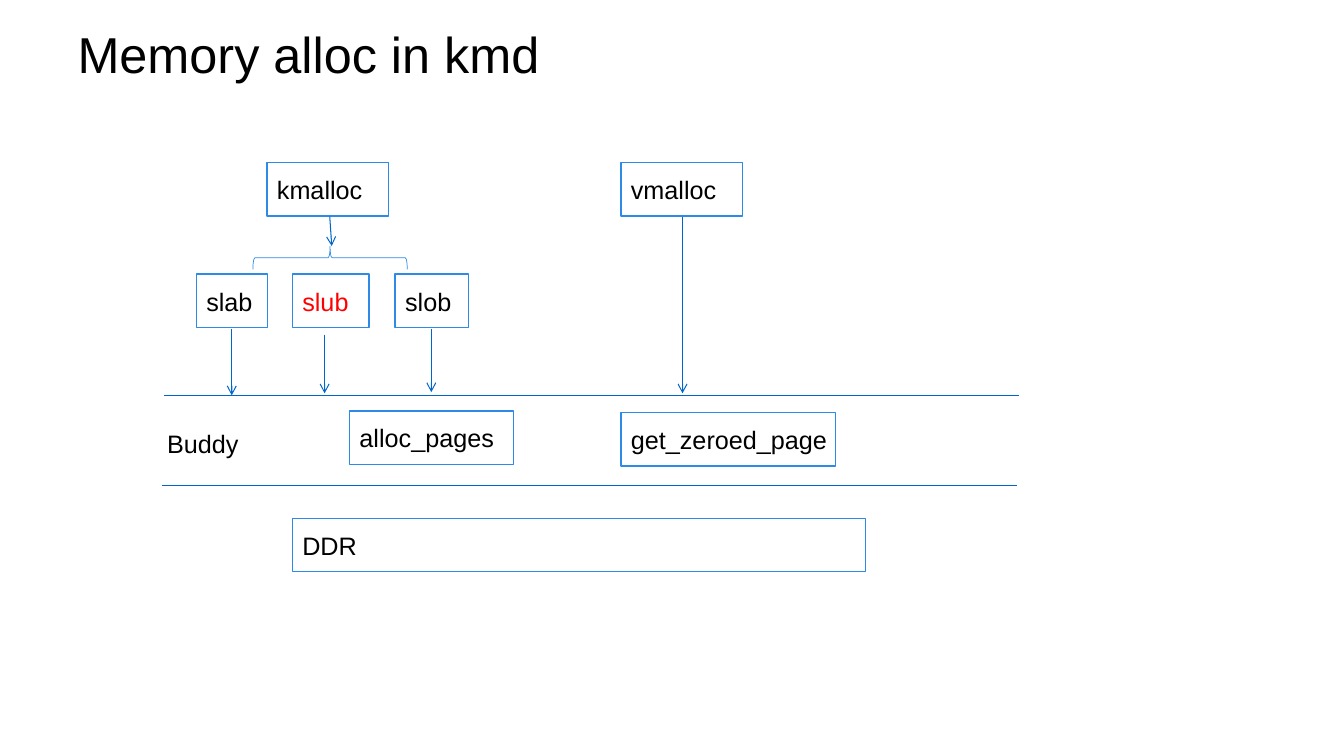
from lxml import etree
from pptx import Presentation
from pptx.dml.color import RGBColor
from pptx.enum.shapes import MSO_CONNECTOR, MSO_SHAPE
from pptx.enum.text import MSO_ANCHOR, PP_ALIGN
from pptx.oxml.ns import qn
from pptx.util import Cm, Pt

RECT, BRACE = MSO_SHAPE.RECTANGLE, MSO_SHAPE.RIGHT_BRACE
STRAIGHT = MSO_CONNECTOR.STRAIGHT
MIDDLE, LEFT = MSO_ANCHOR.MIDDLE, PP_ALIGN.LEFT
BLACK = RGBColor(0, 0, 0)
WHITE = RGBColor(0xFF, 0xFF, 0xFF)
RED = RGBColor(0xFF, 0, 0)
BORDER = RGBColor(0x2D, 0x8A, 0xE7)
LINE = RGBColor(0, 0x66, 0xCC)

# Lengths in cm
TITLE = "Memory alloc in kmd"
BOX_H = 1.35
API_TOP, SLAB_TOP = 4.09, 6.91
BUDDY_TOP, BUDDY_BOTTOM, BUDDY_W = 9.96, 12.24, 21.54
BOXES = [  # text, left, top, width, text colour
    ("kmalloc", 6.73, API_TOP, 3.07, BLACK),
    ("vmalloc", 15.65, API_TOP, 3.07, BLACK),
    ("slab", 4.95, SLAB_TOP, 1.8, BLACK),
    ("slub", 7.37, SLAB_TOP, 1.93, RED),
    ("slob", 9.96, SLAB_TOP, 1.85, BLACK),
    ("alloc_pages", 8.81, 10.36, 4.14, BLACK),
    ("get_zeroed_page", 15.65, 10.39, 5.41, BLACK),
    ("DDR", 7.37, 13.06, 14.45, BLACK),
]
BUDDY_LINES = [(4.14, BUDDY_TOP), (4.09, BUDDY_BOTTOM)]  # left, y
ARROWS = [  # x1, y1, x2, y2
    (8.31, 5.46, 8.36, 6.2),
    (17.2, 5.46, 17.2, 9.91),
    (5.84, 8.28, 5.84, BUDDY_TOP),
    (8.18, 8.43, 8.18, 9.91),
    (10.87, 8.28, 10.87, 9.88),
]


def add_text(tf, text, size, color):
    p = tf.paragraphs[0]
    p.alignment = LEFT
    r = p.add_run()
    r.text = text
    r.font.name = "Arial"
    r.font.size = Pt(size)
    r.font.color.rgb = color


def add_box(s, text, left, top, width, color):
    sp = s.shapes.add_shape(RECT, Cm(left), Cm(top), Cm(width), Cm(BOX_H))
    sp.shadow.inherit = False
    sp.fill.solid()
    sp.fill.fore_color.rgb = WHITE
    sp.line.color.rgb = BORDER
    sp.line.width = Pt(1)
    tf = sp.text_frame
    tf.word_wrap = False
    tf.vertical_anchor = MIDDLE
    add_text(tf, text, 18, color)


def add_line(s, x1, y1, x2, y2, arrow=False):
    line = s.shapes.add_connector(STRAIGHT, Cm(x1), Cm(y1), Cm(x2), Cm(y2))
    line.line.color.rgb = LINE
    line.line.width = Pt(0.75)
    if arrow:
        ln = line.line._get_or_add_ln()
        etree.SubElement(ln, qn("a:tailEnd"), type="arrow")
    etree.SubElement(line._element.spPr, qn("a:effectLst"))


def add_brace(s):
    brace = s.shapes.add_shape(BRACE, Cm(8.03), Cm(4.55), Cm(0.58), Cm(3.89))
    brace.rotation = 270
    brace.shadow.inherit = False
    brace.fill.background()
    brace.line.color.rgb = BORDER
    brace.line.width = Pt(0.5)


def main():
    prs = Presentation()
    prs.slide_width, prs.slide_height = Cm(33.87), Cm(19.05)
    s = prs.slides.add_slide(prs.slide_layouts[5])

    title = s.shapes.title
    title.left, title.top = Cm(1.7), Cm(0.53)
    title.width, title.height = Cm(30.48), Cm(1.63)
    title.text_frame.vertical_anchor = MIDDLE
    add_text(title.text_frame, TITLE, 36, BLACK)

    for box in BOXES:
        add_box(s, *box)
    for left, y in BUDDY_LINES:
        add_line(s, left, y, left + BUDDY_W, y)
    for arrow in ARROWS:
        add_line(s, *arrow, arrow=True)
    add_brace(s)

    buddy = s.shapes.add_textbox(Cm(3.96), Cm(10.67), Cm(2.77), Cm(1.02))
    buddy.text_frame.word_wrap = True
    add_text(buddy.text_frame, "Buddy", 18, BLACK)

    prs.save("out.pptx")


if __name__ == "__main__":
    main()
